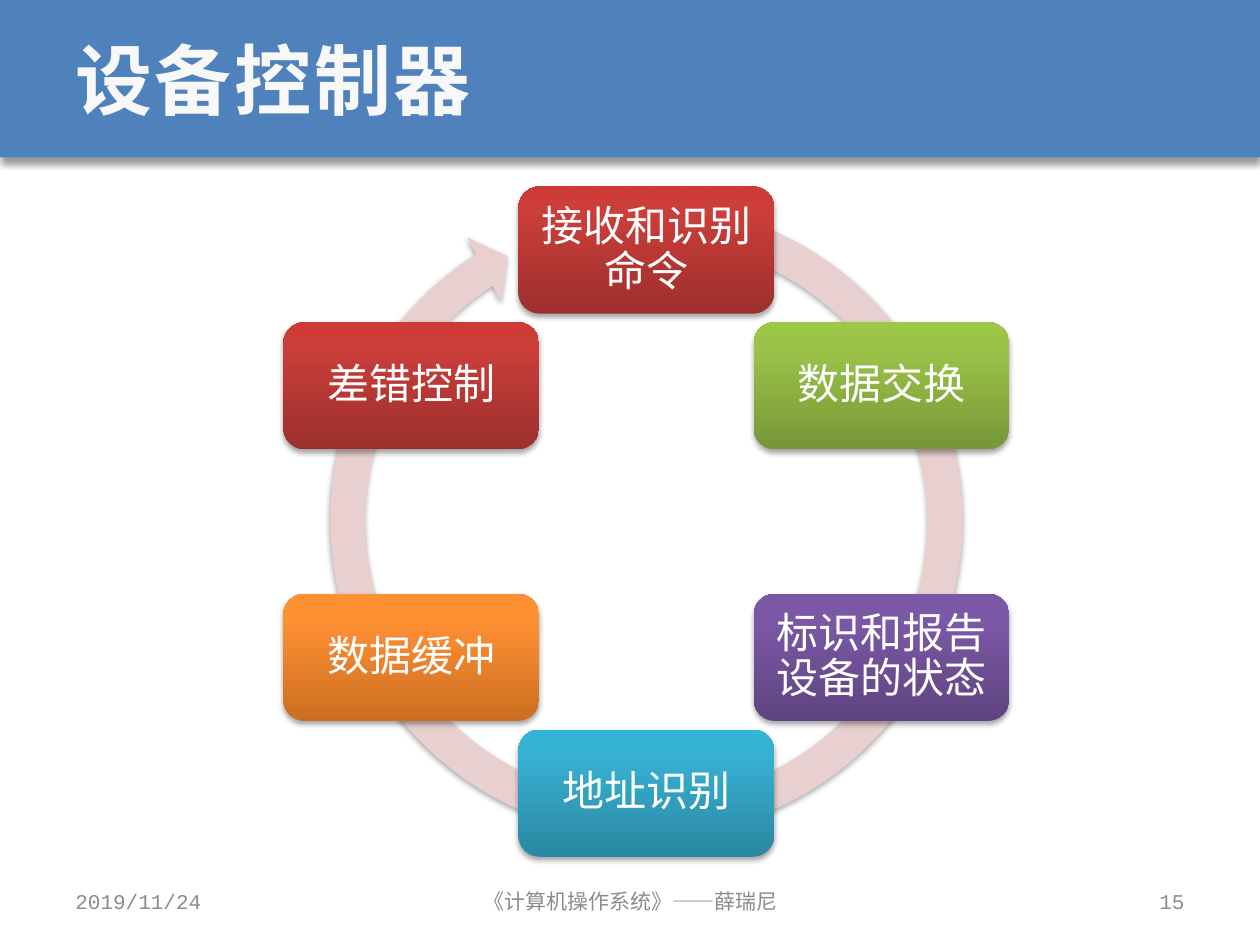
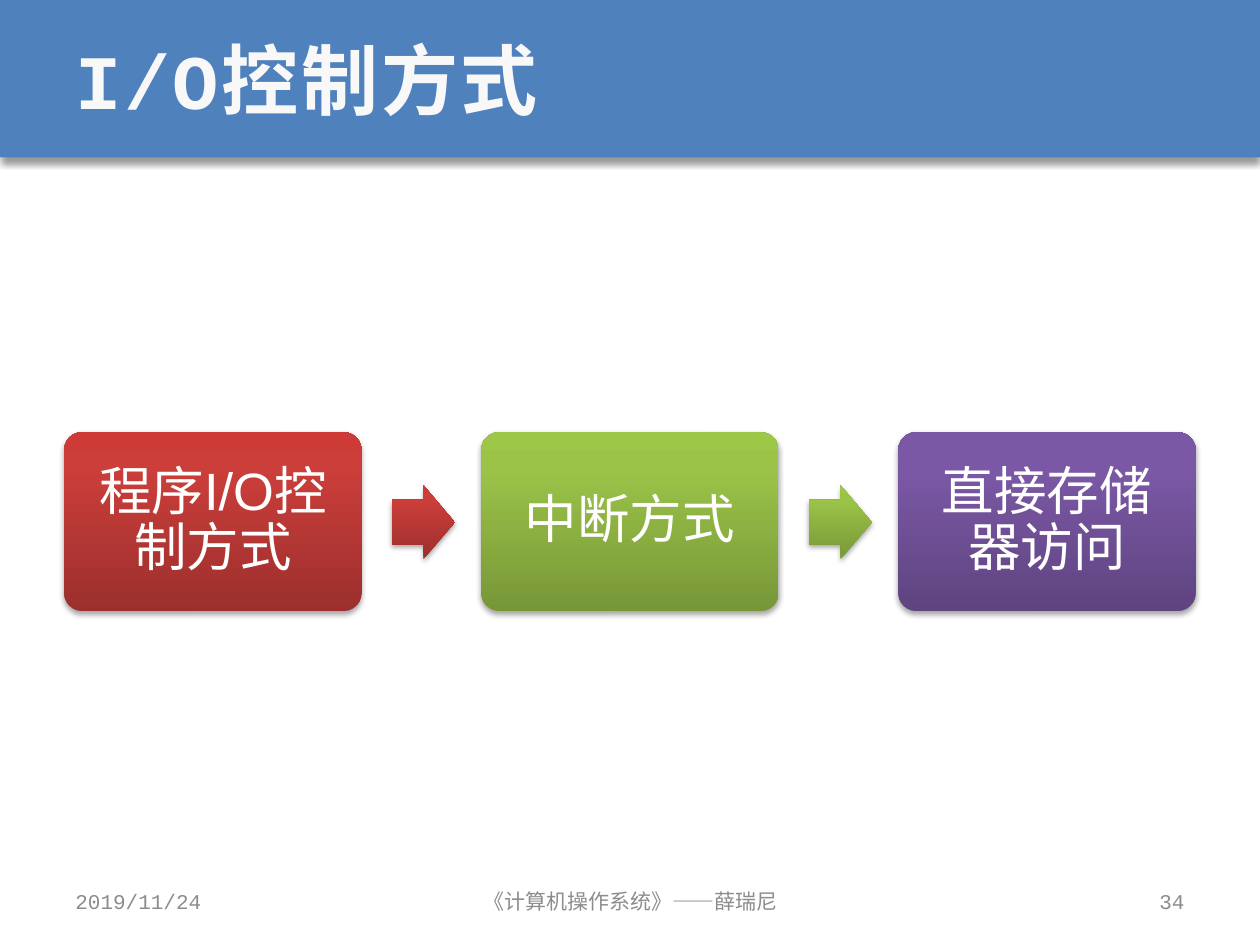
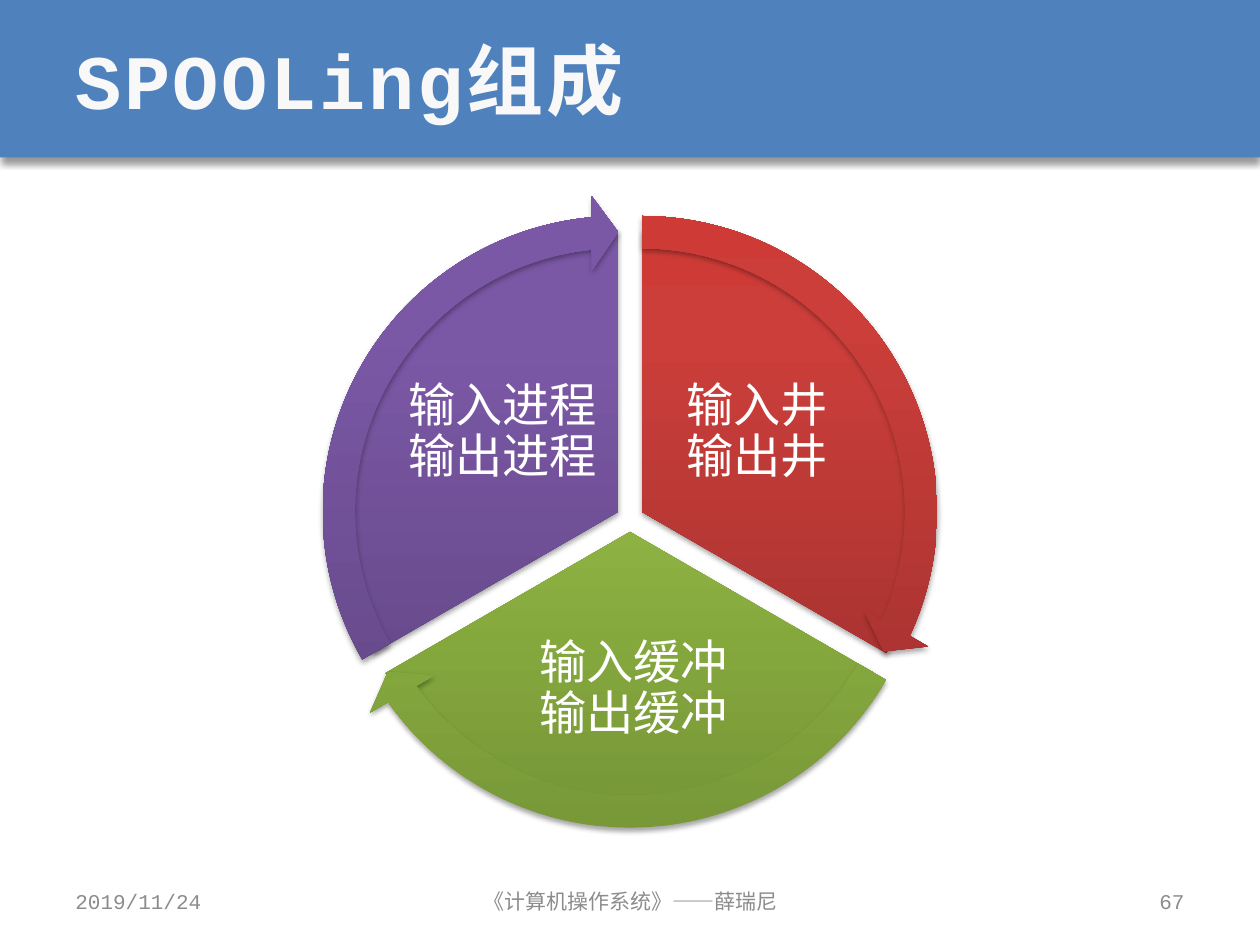
"""Build three slides on device controllers, I/O control and SPOOLing."""
from copy import deepcopy
from math import cos, radians, sin

from lxml import etree
from pptx import Presentation
from pptx.dml.color import RGBColor
from pptx.enum.shapes import MSO_SHAPE
from pptx.enum.text import MSO_ANCHOR, PP_ALIGN
from pptx.oxml.ns import qn
from pptx.util import Inches, Pt

RECTANGLE, ROUNDED = MSO_SHAPE.RECTANGLE, MSO_SHAPE.ROUNDED_RECTANGLE
CIRCULAR_ARROW, RIGHT_ARROW, PIE = MSO_SHAPE.CIRCULAR_ARROW, MSO_SHAPE.RIGHT_ARROW, MSO_SHAPE.PIE
LEFT, CENTER, RIGHT = PP_ALIGN.LEFT, PP_ALIGN.CENTER, PP_ALIGN.RIGHT
MIDDLE = MSO_ANCHOR.MIDDLE

COLORS = {"band": "4F81BD", "title": "F8F8F8", "footer": "8C8C8C", "text": "FFFFFF", "ring": "E8D0D0"}
GRADIENTS = {
    "red": ("9C2F2D", "CB3E3A", "CE3B37"),
    "green": ("779737", "9BC348", "9DC746"),
    "purple": ("5F4480", "7B58A6", "7C57A8"),
    "blue": ("2A88A2", "37B1D2", "34B4D6"),
    "orange": ("CC6E20", "FF9034", "FF9136"),
}
STOP_POSITIONS = (0, 0.8, 1)

presentation = Presentation()
presentation.slide_width, presentation.slide_height = Inches(10), Inches(7.5)
cell = presentation.slide_width / 10


def write(slide, text, box=None, shape=None, size=24, font="Arial", color="text", align=CENTER,
          bold=False, tracking=0, line_spacing=None, margins=(0.1, 0.05)):
    """Put formatted text in a shape, or in a new text box measured in grid cells."""
    shape = shape or slide.shapes.add_textbox(*(round(length * cell) for length in box))
    frame = shape.text_frame
    frame.word_wrap = True
    frame.vertical_anchor = MIDDLE
    frame.margin_left = frame.margin_right = Inches(margins[0])
    frame.margin_top = frame.margin_bottom = Inches(margins[1])
    paragraph = frame.paragraphs[0]
    paragraph.text = text
    paragraph.alignment = align
    paragraph.line_spacing = line_spacing
    for run in paragraph.runs:
        run.font.name, run.font.size, run.font.bold = font, Pt(size), bold
        run.font.color.rgb = RGBColor.from_string(COLORS[color])
        if tracking:
            run._r.get_or_add_rPr().set("spc", str(round(tracking * 100)))


def draw(slide, kind, box, color, adjustments=(), shadow=(35, 3.1, 1.8)):
    """Add a shadowed shape, with a gradient when the colour has one."""
    shape = slide.shapes.add_shape(kind, *(round(length * cell) for length in box))
    for index, value in enumerate(adjustments):
        shape.adjustments[index] = value
    if color in GRADIENTS:
        shape.fill.gradient()
        shape.fill.gradient_angle = 90
        stop_list = shape._element.spPr.find(".//" + qn("a:gsLst"))
        stop_list.append(deepcopy(stop_list[-1]))
        for stop, position, value in zip(shape.fill.gradient_stops, STOP_POSITIONS, GRADIENTS[color]):
            stop.position = position
            stop.color.rgb = RGBColor.from_string(value)
    else:
        shape.fill.solid()
        shape.fill.fore_color.rgb = RGBColor.from_string(COLORS[color])
    shape.line.fill.background()
    shape.shadow.inherit = False
    opacity, blur, distance = shadow
    outer = etree.SubElement(shape._element.spPr.find(qn("a:effectLst")), qn("a:outerShdw"),
                             blurRad=str(Pt(blur)), dist=str(Pt(distance)), dir="5400000", rotWithShape="0")
    shade = etree.SubElement(outer, qn("a:srgbClr"), val="000000")
    etree.SubElement(shade, qn("a:alpha"), val=str(opacity * 1000))
    return shape


slides = []
for title, page in (("设备控制器", "15"), ("I/O控制方式", "34"), ("SPOOLing组成", "67")):
    slide = presentation.slides.add_slide(presentation.slide_layouts[6])
    slides.append(slide)
    draw(slide, RECTANGLE, (0, 0, 10, 1.25), "band", shadow=(40, 4, 3))
    write(slide, title, (0.5, 0, 9, 1.25), size=44, font="Courier New", color="title",
          align=LEFT, bold=True, tracking=1.5)
    for text, left, width, align in (
        ("2019/11/24", 0.5, 2.33, LEFT),
        ("《计算机操作系统》——薛瑞尼", 3.42, 3.17, CENTER),
        (page, 7.17, 2.33, RIGHT),
    ):
        write(slide, text, (left, 6.95, width, 0.4), size=12, font="Courier New", color="footer", align=align)
controller_slide, control_slide, spooling_slide = slides

draw(controller_slide, CIRCULAR_ARROW, (2.47, 1.47, 5.32, 5.32), "ring",
     (0.053, 3.126, 142.245, 171.291, 0.055))
functions = (("接收和识别命令", "red"), ("数据交换", "green"), ("标识和报告设备的状态", "purple"),
             ("地址识别", "blue"), ("数据缓冲", "orange"), ("差错控制", "red"))
box_width, box_height, ring_radius = 2.03, 1.01, 2.155
for index, (text, color) in enumerate(functions):
    angle = radians(index * 360 / len(functions) - 90)
    left = 5.13 + ring_radius * cos(angle) - box_width / 2
    top = 4.14 + ring_radius * sin(angle) - box_height / 2
    shape = draw(controller_slide, ROUNDED, (left, top, box_width, box_height), color)
    write(controller_slide, text, shape=shape, line_spacing=0.9, margins=(0.1, 0.1))

methods = (("程序I/O控制方式", "red"), ("中断方式", "green"), ("直接存储器访问", "purple"))
for index, (text, color) in enumerate(methods):
    left = 0.51 + index * 3.31
    shape = draw(control_slide, ROUNDED, (left, 3.43, 2.36, 1.42), color, (0.1,))
    write(control_slide, text, shape=shape, size=30, line_spacing=0.9, margins=(0.12, 0.12))
    if index < len(methods) - 1:
        draw(control_slide, RIGHT_ARROW, (left + 2.6, 3.85, 0.5, 0.59), color, (0.6, 0.5))

parts = (
    ("输入井\n输出井", "red", -30, (162, 18), (14.725, 161.994), (5.21, 2.77, 1.6, 1.33)),
    ("输入缓冲\n输出缓冲", "green", 90, (18, 90), (86.72, 18.005), (3.83, 4.89, 2.4, 1.17)),
    ("输入进程\n输出进程", "purple", 210, (90, 162), (158.73, 90), (3.19, 2.77, 1.6, 1.33)),
)
centers = [(5 + 0.107 * cos(radians(part[2])), 4.115 + 0.107 * sin(radians(part[2]))) for part in parts]
pie_size, arrow_size = 4.48, 5.03
for (text, color, direction, sector, sweep, text_box), (x, y) in zip(parts, centers):
    draw(spooling_slide, PIE, (x - pie_size / 2, y - pie_size / 2, pie_size, pie_size), color, sector)
    write(spooling_slide, text, text_box, size=27, line_spacing=0.9, margins=(0.04, 0.04))
for (text, color, direction, sector, sweep, text_box), (x, y) in zip(parts, centers):
    draw(spooling_slide, CIRCULAR_ARROW, (x - arrow_size / 2, y - arrow_size / 2, arrow_size, arrow_size),
         color, (0.051, 3.275, *sweep, 0.059))

presentation.save("out.pptx")
